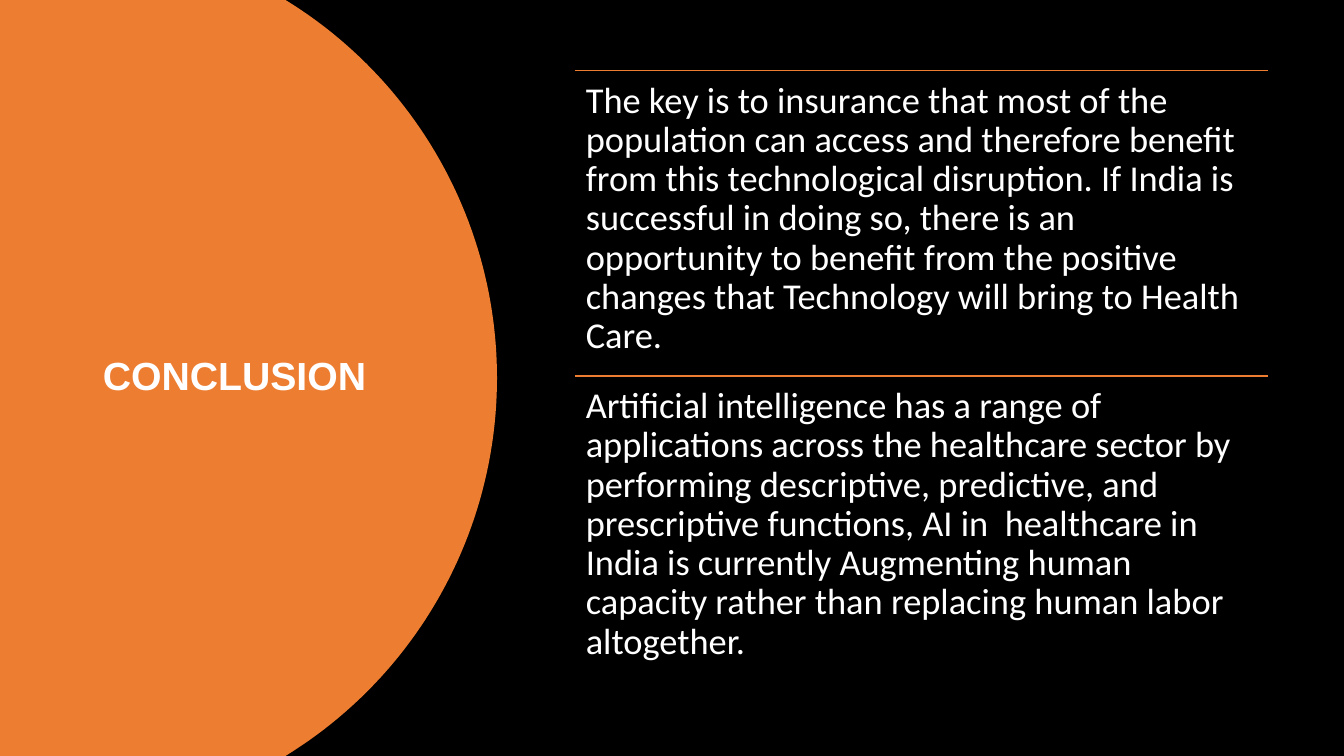
"""Builds the conclusion slide: an orange disc with the title and two ruled statements."""
import math

import pptx
import pptx.dml.color
import pptx.enum.shapes
import pptx.enum.text
import pptx.oxml
import pptx.oxml.ns
import pptx.util

Inches = pptx.util.Inches
Pt = pptx.util.Pt
RGBColor = pptx.dml.color.RGBColor

BLACK = RGBColor(0x00, 0x00, 0x00)
WHITE = RGBColor(0xFF, 0xFF, 0xFF)
ORANGE = RGBColor(0xED, 0x7D, 0x31)

WIDTH, HEIGHT = 13.33, 7.5
DISC_CENTER_X, DISC_RADIUS, ARC_STEPS = 0.53, 4.4, 96
LEFT, TOP, TEXT_WIDTH, ROW_HEIGHT = 5.7, 0.7, 6.88, 3.03

STATEMENTS = [
    "The key is to insurance that most of the population can access and therefore "
    "benefit from this technological disruption. If India is successful in doing so, "
    "there is an opportunity to benefit from the positive changes that Technology will "
    "bring to Health Care.",
    "Artificial intelligence has a range of applications across the healthcare sector "
    "by performing descriptive, predictive, and prescriptive functions, AI in  healthcare "
    "in India is currently Augmenting human capacity rather than replacing human labor "
    "altogether.",
]


class SlideBuilder:
    def __init__(self, slide):
        self.slide = slide
        self.shapes = slide.shapes
        fill = slide.background.fill
        fill.solid()
        fill.fore_color.rgb = BLACK

    def style(self, p, font, size, bold=False):
        p.alignment = pptx.enum.text.PP_ALIGN.LEFT
        p.line_spacing = 0.9
        p.font.name = font
        p.font.size = Pt(size)
        p.font.bold = bold
        p.font.color.rgb = WHITE

    def disc(self):
        half = math.asin(HEIGHT / 2 / DISC_RADIUS)
        angles = [half * (2 * i / ARC_STEPS - 1) for i in range(ARC_STEPS + 1)]
        arc = [
            (Inches(DISC_CENTER_X + DISC_RADIUS * math.cos(a)),
             Inches(HEIGHT / 2 + DISC_RADIUS * math.sin(a)))
            for a in angles
        ]
        builder = self.shapes.build_freeform(0, 0)
        builder.add_line_segments(arc + [(0, Inches(HEIGHT))], close=True)
        sp = builder.convert_to_shape()
        sp.shadow.inherit = False
        sp.fill.solid()
        sp.fill.fore_color.rgb = ORANGE
        sp.line.fill.background()
        self.shapes.title.element.addprevious(sp.element)

    def title(self, text, left, top, width, height):
        sp = self.shapes.title
        sp.left, sp.top = Inches(left), Inches(top)
        sp.width, sp.height = Inches(width), Inches(height)
        tf = sp.text_frame
        tf.text = text
        tf.word_wrap = True
        tf.vertical_anchor = pptx.enum.text.MSO_ANCHOR.MIDDLE
        self.style(tf.paragraphs[0], "Arial", 28, True)

    def rule(self, left, top, width):
        line = self.shapes.add_connector(
            pptx.enum.shapes.MSO_CONNECTOR.STRAIGHT,
            Inches(left), Inches(top), Inches(left + width), Inches(top))
        line.line.color.rgb = ORANGE
        line.line.width = Pt(1)
        properties = line.element.find(pptx.oxml.ns.qn("p:spPr"))
        properties.append(pptx.oxml.parse_xml(
            "<a:effectLst %s/>" % pptx.oxml.ns.nsdecls("a")))

    def statement(self, text, left, top, width, height):
        sp = self.shapes.add_textbox(
            Inches(left), Inches(top), Inches(width), Inches(height))
        tf = sp.text_frame
        tf.word_wrap = True
        tf.margin_left = tf.margin_right = Inches(0.11)
        tf.margin_top = tf.margin_bottom = Inches(0.11)
        tf.text = text
        self.style(tf.paragraphs[0], "Calibri", 26)


def main():
    prs = pptx.Presentation()
    prs.slide_width, prs.slide_height = Inches(WIDTH), Inches(HEIGHT)
    s = SlideBuilder(prs.slides.add_slide(prs.slide_layouts[5]))
    s.disc()
    s.title("CONCLUSION", 0.92, 0.7, 3.23, 6.09)
    for i, text in enumerate(STATEMENTS):
        top = TOP + i * ROW_HEIGHT
        s.rule(LEFT, top, TEXT_WIDTH)
        s.statement(text, LEFT, top, TEXT_WIDTH, ROW_HEIGHT)
    prs.save("out.pptx")


if __name__ == "__main__":
    main()
